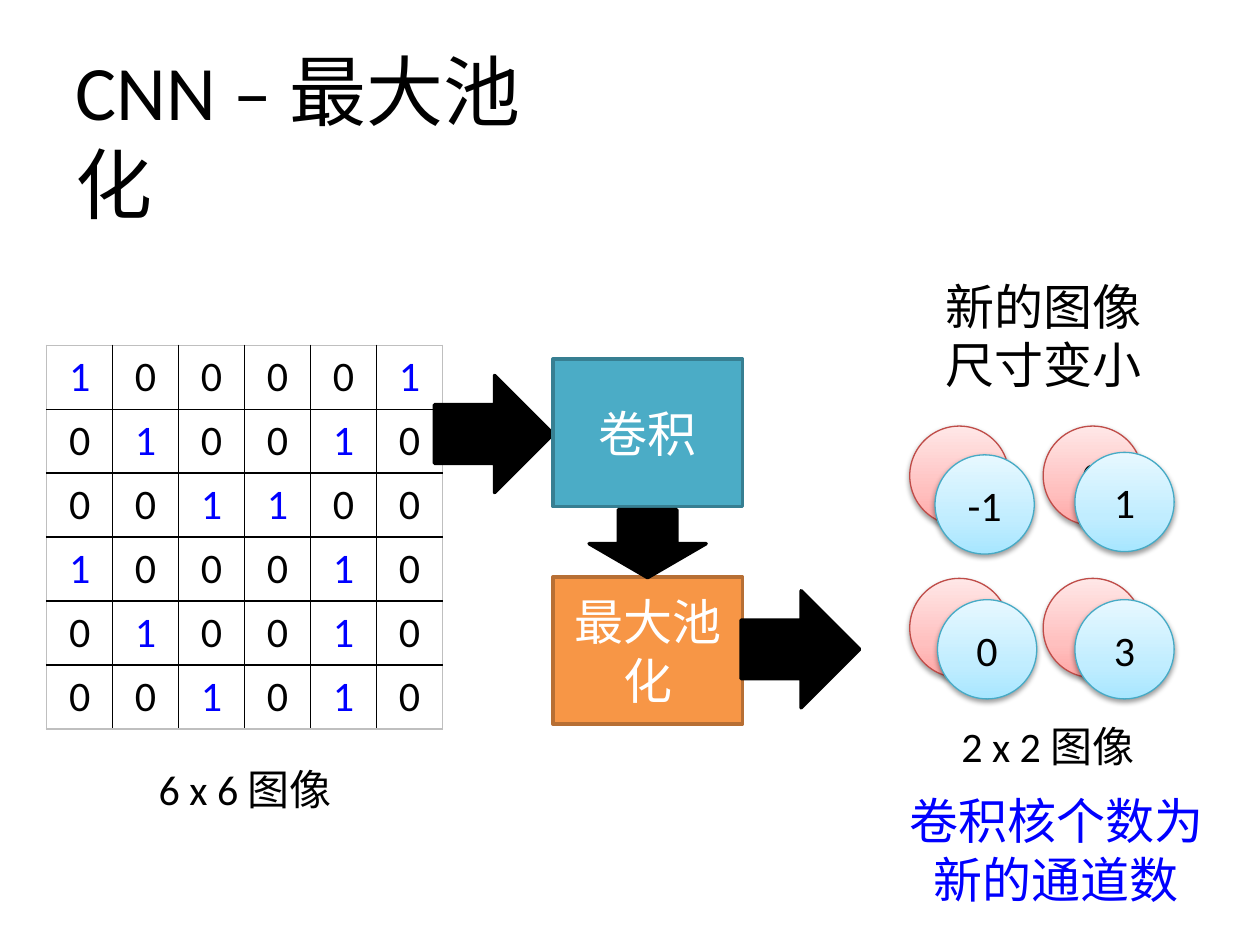
"""Build the CNN max pooling slide."""
import dataclasses

import lxml.etree
import pptx
import pptx.dml.color
import pptx.enum.shapes
import pptx.enum.text
import pptx.oxml
import pptx.oxml.ns
import pptx.util

Cm = pptx.util.Cm
Pt = pptx.util.Pt
SHAPES = pptx.enum.shapes.MSO_SHAPE
CENTER = pptx.enum.text.PP_ALIGN.CENTER
LEFT = pptx.enum.text.PP_ALIGN.LEFT


@dataclasses.dataclass(frozen=True)
class Theme:
    font: str = "Calibri"
    title_size: int = 44
    label_size: int = 28
    value_size: int = 24
    black: str = "000000"
    white: str = "FFFFFF"
    blue: str = "0000FF"
    table_edge: str = "BFBFBF"
    convolution: tuple = ("4BACC6", "377F92")
    pooling: tuple = ("F79646", "B76F34")
    red_channel: tuple = ("FFA6A5", "FFC0BF", "FFE7E7", "BF4C48")
    blue_channel: tuple = ("A7E6FF", "C1EDFF", "E7F8FF", "46AAC5")


def rgb(color):
    return pptx.dml.color.RGBColor.from_string(color)


def drawing_element(tag, body):
    namespace = pptx.oxml.ns.nsdecls("a")
    return pptx.oxml.parse_xml(f"<a:{tag} {namespace}>{body}</a:{tag}>")


class SlideBuilder:
    def __init__(self, slide, theme):
        self.slide = slide
        self.theme = theme

    def set_text(self, text_frame, text, size, color, alignment=CENTER):
        text_frame.text = text
        text_frame.word_wrap = True
        for paragraph in text_frame.paragraphs:
            paragraph.alignment = alignment
            for run in paragraph.runs:
                run.font.name = self.theme.font
                run.font.size = Pt(size)
                run.font.color.rgb = rgb(color)

    def text(self, box, text, size, color, alignment=CENTER, grow=True):
        shape = self.slide.shapes.add_textbox(*map(Cm, box))
        self.set_text(shape.text_frame, text, size, color, alignment)
        if grow:
            shape.text_frame.auto_size = pptx.enum.text.MSO_AUTO_SIZE.SHAPE_TO_FIT_TEXT

    def shape(self, kind, box, fill, line, line_width=2):
        shape = self.slide.shapes.add_shape(kind, *map(Cm, box))
        shape.shadow.inherit = False
        shape.fill.solid()
        shape.fill.fore_color.rgb = rgb(fill)
        shape.line.color.rgb = rgb(line)
        shape.line.width = Pt(line_width)
        return shape

    def arrow(self, box, rotation=0):
        black = self.theme.black
        self.shape(SHAPES.RIGHT_ARROW, box, black, black).rotation = rotation

    def block(self, box, text, colors):
        shape = self.shape(SHAPES.RECTANGLE, box, *colors)
        self.set_text(shape.text_frame, text, self.theme.label_size, self.theme.white)

    def circle(self, left, top, text, colors):
        *gradient, line = colors
        shape = self.shape(SHAPES.OVAL, (left, top, 2, 2), gradient[0], line, 0.75)
        stops = "".join(
            f'<a:gs pos="{position}"><a:srgbClr val="{color}"/></a:gs>'
            for position, color in zip((0, 35000, 100000), gradient)
        )
        properties = shape._element.spPr
        solid = properties.find(pptx.oxml.ns.qn("a:solidFill"))
        properties.replace(solid, drawing_element(
            "gradFill", f'<a:gsLst>{stops}</a:gsLst><a:lin ang="16200000" scaled="0"/>'))
        effects = properties.find(pptx.oxml.ns.qn("a:effectLst"))
        effects.append(pptx.oxml.parse_xml(
            f'<a:outerShdw {pptx.oxml.ns.nsdecls("a")} blurRad="{Pt(3.1)}" '
            f'dist="{Pt(1.6)}" dir="5400000" rotWithShape="0">'
            f'<a:srgbClr val="{self.theme.black}"><a:alpha val="38000"/></a:srgbClr>'
            "</a:outerShdw>"))
        self.set_text(shape.text_frame, text, self.theme.value_size, self.theme.black)

    def border(self, cell, side, outer):
        color = self.theme.table_edge if outer else self.theme.black
        line = lxml.etree.SubElement(
            cell._tc.get_or_add_tcPr(), pptx.oxml.ns.qn(f"a:ln{side}"), w=str(Pt(1)))
        line.append(drawing_element("solidFill", f'<a:srgbClr val="{color}"/>'))

    def matrix(self, left, top, cell_width, cell_height, rows):
        count, last = len(rows), len(rows) - 1
        table = self.slide.shapes.add_table(
            count, count, Cm(left), Cm(top),
            Cm(cell_width * count), Cm(cell_height * count)).table
        table.first_row = table.horz_banding = False
        for row_index, values in enumerate(rows):
            table.rows[row_index].height = Cm(cell_height)
            table.columns[row_index].width = Cm(cell_width)
            for column_index, value in enumerate(values):
                cell = table.cell(row_index, column_index)
                color = self.theme.blue if value == "1" else self.theme.black
                self.set_text(cell.text_frame, value, self.theme.value_size, color)
                self.border(cell, "L", column_index == 0)
                self.border(cell, "R", column_index == last)
                self.border(cell, "T", row_index == 0)
                self.border(cell, "B", row_index == last)
                cell.fill.background()


def main():
    presentation = pptx.Presentation()
    presentation.slide_width = Cm(25.4)
    presentation.slide_height = Cm(19.05)
    theme = Theme()
    slide = presentation.slides.add_slide(presentation.slide_layouts[6])
    builder = SlideBuilder(slide, theme)

    builder.matrix(0.94, 6.96, 1.33, 1.29,
                   ("100001", "010010", "001100", "100010", "010010", "001010"))
    builder.text((1.68, 15.27, 6.53, 1.27), "6 x 6 图像", theme.value_size, theme.black)

    for left, top, value in ((18.34, 8.59, "3"), (21.03, 8.59, "0"),
                             (21.03, 11.66, "1"), (18.34, 11.66, "3")):
        builder.circle(left, top, value, theme.red_channel)
    for left, top, value in ((18.85, 9.17, "-1"), (21.67, 9.12, "1"),
                             (21.67, 12.09, "3"), (18.9, 12.09, "0")):
        builder.circle(left, top, value, theme.blue_channel)

    builder.text((17.86, 14.4, 6.53, 1.27), "2 x 2 图像", theme.value_size, theme.black)
    builder.text((17.88, 15.82, 6.83, 2.64), "卷积核个数为新的通道数",
                 theme.label_size, theme.blue)
    builder.arrow((8.76, 7.57, 2.39, 2.36))
    builder.text((17.88, 5.44, 6.32, 2.64), "新的图像\n尺寸变小",
                 theme.label_size, theme.black)
    builder.block((11.15, 7.24, 3.82, 2.97), "卷积", theme.convolution)
    builder.block((11.15, 11.63, 3.82, 2.97), "最大池化", theme.pooling)
    builder.arrow((14.94, 11.91, 2.39, 2.36))
    builder.arrow((12.37, 9.78, 1.37, 2.36), rotation=90)
    builder.text((1.27, 0.76, 11.02, 2.13), "CNN – 最大池化",
                 theme.title_size, theme.black, LEFT, grow=False)

    presentation.save("out.pptx")


if __name__ == "__main__":
    main()
